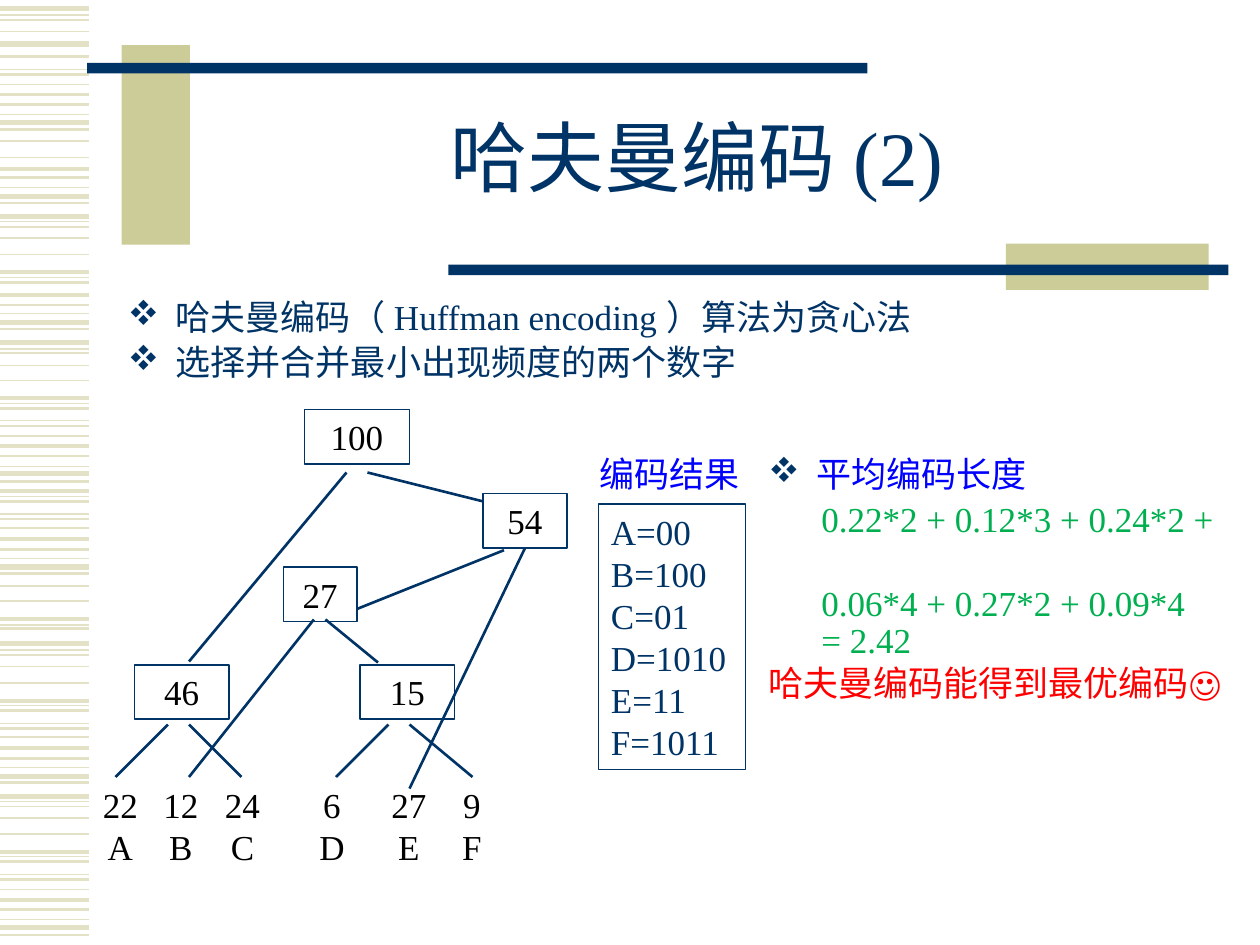
from collections import namedtuple

from lxml import etree
from pptx import Presentation
from pptx import util as u
from pptx.dml.color import RGBColor
from pptx.enum import shapes, text
from pptx.oxml.ns import qn

NAVY = RGBColor(0x00, 0x33, 0x66)
KHAKI = RGBColor(0xCC, 0xCC, 0x99)
PALE = RGBColor(0xE3, 0xE2, 0xC7)
BLUE = RGBColor(0x00, 0x00, 0xFF)
GREEN = RGBColor(0x00, 0xB0, 0x50)
RED = RGBColor(0xFF, 0x00, 0x00)
BLACK = RGBColor(0x00, 0x00, 0x00)
WHITE = RGBColor(0xFF, 0xFF, 0xFF)

FONT = "Times New Roman"
BULLET_FONT, DIAMOND = "Wingdings", "v"
COLS, ROWS = 120, 90
CELL = u.Inches(10) / COLS
HANG = 0.38

Box = namedtuple("Box", "x y w h")

STRIPE_STEPS = 750
STRIPES = {
    0.75: (12, 55, 91, 149, 176, 220, 249, 277, 320, 334, 370, 394, 408, 443,
           496, 516, 560, 574, 609, 636, 680, 694, 730),
    1: (16, 25, 67, 112, 125, 180, 189, 202, 280, 290, 302, 346, 419, 465,
        477, 520, 529, 542, 585, 640, 649, 662, 706),
    1.5: (45, 59, 83, 103, 141, 161, 224, 242, 261, 324, 338, 362, 382, 398,
          412, 436, 455, 499, 564, 578, 602, 621, 684, 698, 722, 742),
    2.25: (75, 134, 216, 234, 316, 354, 390, 428, 491, 556, 594, 676, 714),
    3: (7, 35, 97, 156, 172, 256, 272, 376, 450, 511, 616, 632, 736),
}

NODES = (("100", 18, 0, 10), ("54", 35, 8, 8), ("27", 16, 15, 7),
         ("46", 1.8, 24.3, 9), ("15", 23.3, 24.3, 9))
NODE_H = 5.2
EDGES = ((22, 6, 7, 24), (24, 6, 36, 9), (37, 13.4, 23, 19),
         (39, 13.2, 28, 36.1), (18.9, 20, 7, 35), (20, 20, 25, 24.1),
         (26, 30, 21, 35), (28, 30, 34, 35), (5, 30, 0, 35), (7, 30, 12, 35))
LEAVES = (("22", "A"), ("12", "B"), ("24", "C"),
          ("6", "D"), ("27", "E"), ("9", "F"))
LEAF_TABS = (0.14, 0.62, 1.11, 1.82, 2.43, 2.93)
CODES = ("A=00", "B=100", "C=01", "D=1010", "E=11", "F=1011")


def cells(*values):
    return [u.Emu(round(v * CELL)) for v in values]


def within(box, x, y, w, h):
    return Box(box.x + x, box.y + y, w, h)


def style(p, color, size=20):
    for r in p.runs:
        r.font.name = FONT
        r.font.size = u.Pt(size)
        r.font.color.rgb = color


def add_line(s, box, x1, y1, x2, y2, color, width):
    ln = s.shapes.add_connector(
        shapes.MSO_CONNECTOR.STRAIGHT,
        *cells(box.x + x1, box.y + y1, box.x + x2, box.y + y2))
    ln.line.color.rgb = color
    ln.line.width = u.Pt(width)
    etree.SubElement(ln._element.spPr, qn("a:effectLst"))


def add_rect(s, box, fill=None, line=None):
    sp = s.shapes.add_shape(shapes.MSO_SHAPE.RECTANGLE, *cells(*box))
    sp.shadow.inherit = False
    if fill is None:
        sp.fill.background()
    else:
        sp.fill.solid()
        sp.fill.fore_color.rgb = fill
    if line is None:
        sp.line.fill.background()
    else:
        sp.line.color.rgb = line
        sp.line.width = u.Pt(1)
    return sp


def add_text(s, box, wrap=True):
    tf = s.shapes.add_textbox(*cells(*box)).text_frame
    tf.word_wrap = wrap
    return tf


def add_paragraph(tf, words, color, before=4, bullet=False, left=0):
    p = tf.paragraphs[0] if not tf.text else tf.add_paragraph()
    p.text = words
    p.line_spacing = 0.9
    p.space_before = u.Pt(before)
    style(p, color)
    pPr = p._p.get_or_add_pPr()
    pPr.set("marL", str(u.Inches(HANG if bullet else left)))
    if bullet:
        pPr.set("indent", str(-u.Inches(HANG)))
        clr = etree.SubElement(pPr, qn("a:buClr"))
        etree.SubElement(clr, qn("a:srgbClr"), val=str(NAVY))
        etree.SubElement(pPr, qn("a:buFont"), typeface=BULLET_FONT,
                         pitchFamily="2", charset="2")
        etree.SubElement(pPr, qn("a:buChar"), char=DIAMOND)


def stripes(s, box):
    for width, steps in STRIPES.items():
        for step in steps:
            y = box.h * step / STRIPE_STEPS
            add_line(s, box, 0, y, box.w, y, PALE, width)


def heading(s, box):
    add_rect(s, within(box, 3.4, 0, 6.5, 19), KHAKI)
    add_rect(s, within(box, 0.1, 1.7, 74.3, 1), NAVY)
    add_rect(s, within(box, 87.6, 18.9, 19.3, 4.4), KHAKI)
    add_rect(s, within(box, 34.5, 20.9, 74.3, 1), NAVY)
    title = s.shapes.title
    title.left, title.top, title.width, title.height = cells(
        *within(box, 9.8, 3.7, 96.8, 15))
    tf = title.text_frame
    tf.text = "哈夫曼编码 (2)"
    tf.vertical_anchor = text.MSO_ANCHOR.MIDDLE
    p = tf.paragraphs[0]
    p.alignment = text.PP_ALIGN.CENTER
    p.line_spacing = 0.85
    style(p, NAVY, 44)


def intro(s, box):
    tf = add_text(s, box)
    add_paragraph(tf, "哈夫曼编码（ Huffman encoding ）算法为贪心法", NAVY, bullet=True)
    add_paragraph(tf, "选择并合并最小出现频度的两个数字", NAVY, bullet=True)


def tree(s, box):
    for edge in EDGES:
        add_line(s, box, *edge, NAVY, 1.5)
    for label, x, y, w in NODES:
        fill = WHITE if label == "54" else None
        tf = add_rect(s, within(box, x, y, w, NODE_H), fill, NAVY).text_frame
        tf.text = label
        tf.paragraphs[0].alignment = text.PP_ALIGN.CENTER
        style(tf.paragraphs[0], BLACK)
    tf = add_text(s, within(box, -2.4, 35, 42, 9.2))
    p = tf.paragraphs[0]
    p.text = "\v".join("\t" + "\t".join(row) for row in zip(*LEAVES))
    style(p, BLACK)
    tabs = etree.SubElement(p._p.get_or_add_pPr(), qn("a:tabLst"))
    for pos in LEAF_TABS:
        etree.SubElement(tabs, qn("a:tab"), pos=str(u.Inches(pos)), algn="ctr")


def results(s, box):
    tf = add_text(s, within(box, 0, 0, box.w, 5.3), wrap=False)
    tf.text = "编码结果"
    style(tf.paragraphs[0], BLUE)
    tf = add_rect(s, within(box, 1.1, 5.5, 14, 25.3), line=NAVY).text_frame
    p = tf.paragraphs[0]
    p.text = "\v".join(CODES)
    p.alignment = text.PP_ALIGN.LEFT
    style(p, NAVY)


def average(s, box):
    tf = add_text(s, box)
    add_paragraph(tf, "平均编码长度", BLUE, bullet=True)
    add_paragraph(tf, "0.22*2 + 0.12*3 + 0.24*2 +", GREEN, left=0.42)
    add_paragraph(tf, "0.06*4 + 0.27*2 + 0.09*4\v= 2.42", GREEN, before=26, left=0.42)
    add_paragraph(tf, "哈夫曼编码能得到最优编码☺", RED, before=3)


def main():
    prs = Presentation()
    prs.slide_width, prs.slide_height = cells(COLS, ROWS)
    s = prs.slides.add_slide(prs.slide_layouts[5])
    stripes(s, Box(0, 0, 8.5, ROWS))
    heading(s, Box(8.2, 4.3, 108.7, 23.4))
    intro(s, Box(11, 28, 104.4, 9))
    tree(s, Box(11, 39, 44, 44))
    results(s, Box(55.9, 42.5, 15.8, 30.8))
    average(s, Box(72, 43, 47.5, 32))
    prs.save("out.pptx")


if __name__ == "__main__":
    main()
